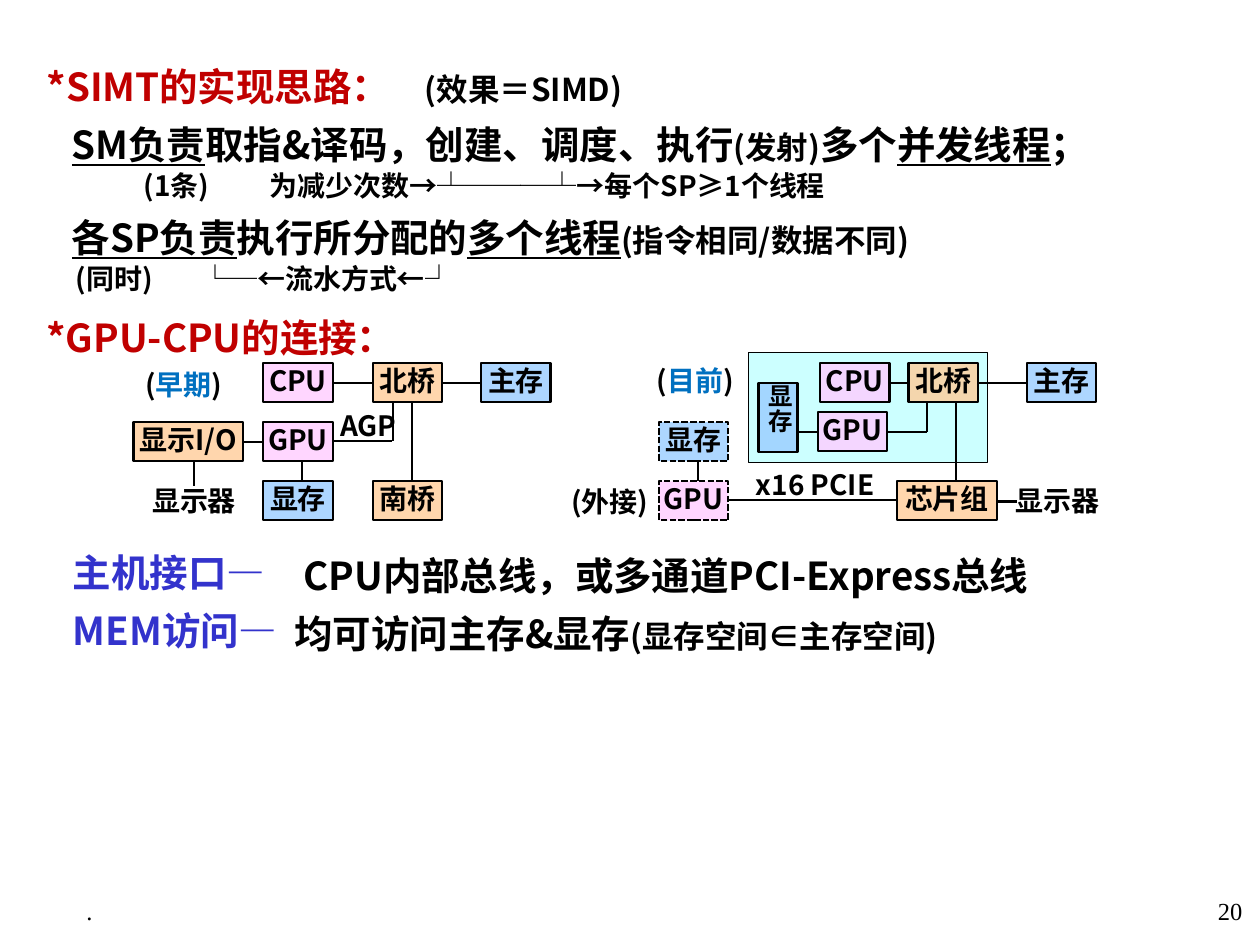
"""Build the slide on SIMT execution and the GPU-CPU connection."""
from dataclasses import dataclass

from lxml import etree
from pptx import Presentation
from pptx.dml.color import RGBColor
from pptx.enum.dml import MSO_LINE
from pptx.enum.shapes import MSO_CONNECTOR, MSO_SHAPE
from pptx.enum.text import MSO_ANCHOR, MSO_AUTO_SIZE, PP_ALIGN
from pptx.oxml.ns import qn
from pptx.util import Inches, Pt

LEFT, CENTER, RIGHT = PP_ALIGN.LEFT, PP_ALIGN.CENTER, PP_ALIGN.RIGHT
TOP, MIDDLE = MSO_ANCHOR.TOP, MSO_ANCHOR.MIDDLE
NO_FIT = MSO_AUTO_SIZE.NONE
RECT, STRAIGHT = MSO_SHAPE.RECTANGLE, MSO_CONNECTOR.STRAIGHT
DASH = MSO_LINE.SQUARE_DOT


@dataclass(frozen=True)
class Theme:
    font: str = "Noto Sans CJK SC"
    footer_font: str = "Times New Roman"
    ink: str = "000000"
    heading: str = "C00000"
    label: str = "3333CC"
    era: str = "0070C0"
    panel: str = "CCFFFF"
    chip: str = "FFCCFF"
    bridge: str = "FFCC99"
    memory: str = "99CCFF"
    big: int = 22
    mid: int = 18
    small: int = 16
    tiny: int = 14
    line: float = 1.25


T = Theme()


def add_run(p, text, size=T.big, color=T.ink, bold=True, underline=False, font=T.font):
    r = p.add_run()
    r.text = text
    r.font.size = Pt(size)
    r.font.bold = bold
    r.font.underline = underline
    r.font.name = font
    r.font.color.rgb = RGBColor.from_string(color)
    etree.SubElement(r._r.get_or_add_rPr(), qn("a:ea"), typeface=font)


def add_par(tf, runs, indent=0, tab=None, spacing=1.25, align=LEFT):
    p = tf.paragraphs[0] if not tf.paragraphs[0].runs else tf.add_paragraph()
    p.alignment = align
    p.line_spacing = spacing
    p.space_before = Pt(0)
    pPr = p._p.get_or_add_pPr()
    pPr.set("marL", str(Inches(indent)))
    pPr.set("indent", "0")
    etree.SubElement(pPr, qn("a:buNone"))
    if tab:
        tabs = etree.SubElement(pPr, qn("a:tabLst"))
        etree.SubElement(tabs, qn("a:tab"), pos=str(Inches(tab)), algn="l")
    for text, fmt in runs:
        add_run(p, text, **fmt)


prs = Presentation()
prs.slide_width, prs.slide_height = Inches(10), Inches(7.5)
s = prs.slides.add_slide(prs.slide_layouts[1])
title, body = s.placeholders

mid, small, under = dict(size=T.mid), dict(size=T.small), dict(underline=True)
thin = dict(size=T.small, bold=False)
red, blue = dict(color=T.heading), dict(color=T.label)
footer = dict(size=T.tiny, bold=False, font=T.footer_font)

blocks = [
    (title, (0.2, 0.36, 9.61, 0.5), [
        ([("*SIMT的实现思路：\t", red), ("(效果＝SIMD)", mid)], dict(indent=0.07, tab=3.07)),
    ]),
    (body, (0.2, 0.82, 9.61, 1.6), [
        ([("SM负责", under), ("取指&译码，创建、调度、执行", {}), ("(发射)", mid),
          ("多个", {}), ("并发线程", under), ("；", {})], dict(indent=0.27)),
        ([("(1条)\t为减少次数→", small), ("┴───┴", thin), ("→每个SP≥1个线程", small)],
         dict(indent=0.84, tab=1.73, spacing=1.05)),
        ([("各SP负责", under), ("执行所分配的", {}), ("多个线程", under),
          ("(指令相同/数据不同)", mid)], dict(indent=0.27)),
        ([("(同时)\t", small), ("└─", thin), ("←流水方式←", small), ("┘", thin)],
         dict(indent=0.3, tab=1.4, spacing=1.05)),
    ]),
    (None, (0.2, 2.35, 9.61, 0.5), [([("*GPU-CPU的连接：", red)], dict(indent=0.07))]),
    (None, (0.2, 4.22, 2.2, 1), [
        ([("主机接口—", blue)], dict(indent=0.28)),
        ([("MEM访问—", blue)], dict(indent=0.28)),
    ]),
    (None, (2.24, 4.24, 7.24, 0.96), [
        ([("CPU内部总线，或多通道PCI-Express总线", {})], dict(indent=0.07)),
        ([("均可访问主存&显存", {}), ("(显存空间∈主存空间)", mid)], {}),
    ]),
    (None, (0.04, 7.06, 1.34, 0.39), [([(".", footer)], dict(align=CENTER, spacing=1))]),
    (None, (8.86, 7.06, 1.1, 0.39), [([("20", footer)], dict(align=RIGHT, spacing=1))]),
]
for sp, place, pars in blocks:
    box = [Inches(v) for v in place]
    if sp is None:
        sp = s.shapes.add_textbox(*box)
    sp.left, sp.top, sp.width, sp.height = box
    tf = sp.text_frame
    tf.word_wrap = True
    tf.auto_size = NO_FIT
    tf.vertical_anchor = TOP
    for runs, fmt in pars:
        add_par(tf, runs, **fmt)

W, H = 0.55, 0.31
ROW1, ROW2, ROW3 = 2.88, 3.35, 3.82
nodes = [
    ("", 5.94, 2.8, 1.9, 0.87, T.panel, False),
    ("CPU", 2.09, ROW1, W, H, T.chip, False),
    ("北桥", 2.96, ROW1, W, H, T.bridge, False),
    ("主存", 3.82, ROW1, W, H, T.memory, False),
    ("显示I/O", 1.06, ROW2, 0.87, H, T.bridge, False),
    ("GPU", 2.09, ROW2, W, H, T.chip, False),
    ("显存", 2.09, ROW3, W, H, T.memory, False),
    ("南桥", 2.96, ROW3, W, H, T.bridge, False),
    ("CPU", 6.51, ROW1, W, H, T.chip, False),
    ("北桥", 7.21, ROW1, W, H, T.bridge, False),
    ("主存", 8.15, ROW1, W, H, T.memory, False),
    ("GPU", 6.49, 3.27, W, H, T.chip, False),
    ("显存", 6.02, 3.04, H, W, T.memory, False),
    ("芯片组", 7.12, ROW3, 0.79, H, T.bridge, False),
    ("显存", 5.23, ROW2, W, H, T.memory, True),
    ("GPU", 5.23, ROW3, W, H, T.chip, True),
]
for text, x, y, w, h, fill, dashed in nodes:
    sp = s.shapes.add_shape(RECT, Inches(x), Inches(y), Inches(w), Inches(h))
    sp.shadow.inherit = False
    sp.fill.solid()
    sp.fill.fore_color.rgb = RGBColor.from_string(fill)
    sp.line.color.rgb = RGBColor.from_string(T.ink)
    sp.line.width = Pt(T.line if text else 0.75)
    if dashed:
        sp.line.dash_style = DASH
    if not text:
        continue
    clr = sp.fill._xPr.find(qn("a:solidFill"))[0]
    etree.SubElement(clr, qn("a:alpha"), val="80000")
    tf = sp.text_frame
    tf.margin_left = tf.margin_right = Inches(0.02)
    tf.margin_top = tf.margin_bottom = Inches(0.01)
    tf.vertical_anchor = MIDDLE
    tf.word_wrap = False
    upright = h > w
    if upright:
        tf._txBody.bodyPr.set("vert", "eaVert")
    add_par(tf, [(text, dict(size=T.tiny if upright else T.small))], spacing=0.9, align=CENTER)

era = dict(size=T.small, color=T.era)
labels = [
    ([("(", small), ("早期", era), (")", small)], 1.01, 2.92, 0.9, 0.28, CENTER),
    ([("(", small), ("目前", era), (")", small)], 5.07, 2.89, 0.9, 0.28, CENTER),
    ([("显示器", small)], 1.09, 3.86, 0.9, 0.24, CENTER),
    ([("显示器", small)], 7.94, 3.86, 0.9, 0.24, CENTER),
    ([("(外接)", small)], 4.39, 3.87, 0.9, 0.24, CENTER),
    ([("AGP", small)], 2.68, 3.27, 0.6, 0.24, LEFT),
    ([("x16 PCIE", small)], 5.98, 3.74, 1.1, 0.24, LEFT),
]
for runs, x, y, w, h, align in labels:
    tf = s.shapes.add_textbox(Inches(x), Inches(y), Inches(w), Inches(h)).text_frame
    tf.margin_left = tf.margin_right = Inches(0.02)
    tf.margin_top = tf.margin_bottom = Inches(0.01)
    tf.vertical_anchor = MIDDLE
    tf.word_wrap = True
    add_par(tf, runs, spacing=0.95, align=align)

wires = [
    (2.64, 3.04, 2.96, 3.04), (3.51, 3.04, 3.82, 3.04), (3.27, 3.19, 3.27, 3.82),
    (3.12, 3.19, 3.12, 3.5), (2.64, 3.5, 3.11, 3.5), (1.93, 3.51, 2.09, 3.51),
    (2.4, 3.67, 2.4, 3.82), (1.54, 3.67, 1.54, 3.86), (7.06, 3.04, 7.21, 3.04),
    (7.77, 3.04, 8.16, 3.04), (7.59, 3.19, 7.59, 3.82), (7.36, 3.19, 7.36, 3.43),
    (7.04, 3.43, 7.36, 3.43), (6.33, 3.43, 6.49, 3.43), (5.54, 3.67, 5.54, 3.82),
    (5.78, 3.97, 7.12, 3.97), (7.91, 3.98, 8.07, 3.98),
]
for wire in wires:
    ln = s.shapes.add_connector(STRAIGHT, *[Inches(v) for v in wire])
    ln.line.color.rgb = RGBColor.from_string(T.ink)
    ln.line.width = Pt(T.line)
    etree.SubElement(ln._element.spPr, qn("a:effectLst"))

prs.save("out.pptx")
